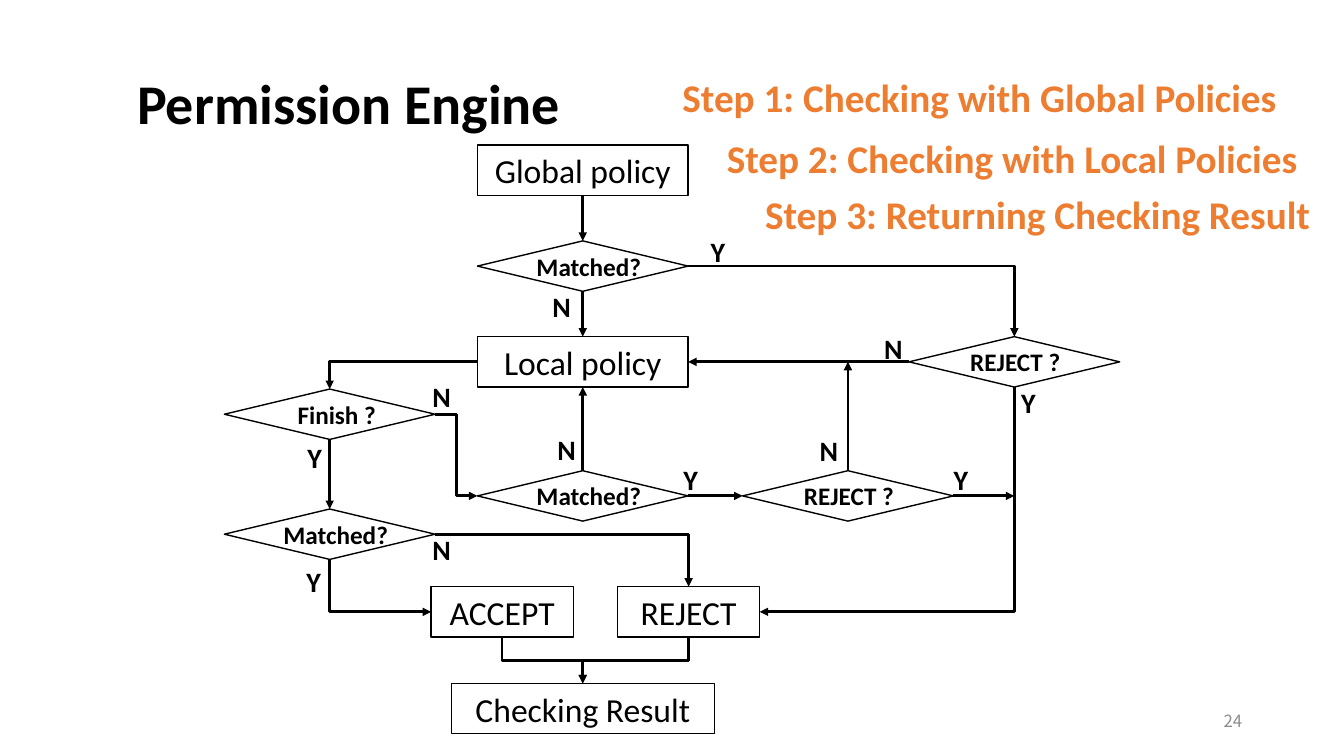
from lxml import etree
from pptx import Presentation
from pptx.dml.color import RGBColor
from pptx.enum.shapes import MSO_CONNECTOR, MSO_SHAPE
from pptx.enum.text import MSO_ANCHOR, MSO_AUTO_SIZE, PP_ALIGN
from pptx.oxml.ns import qn
from pptx.util import Inches, Pt

BOX, GEM = MSO_SHAPE.FLOWCHART_PROCESS, MSO_SHAPE.FLOWCHART_DECISION
STRAIGHT, ELBOW = MSO_CONNECTOR.STRAIGHT, MSO_CONNECTOR.ELBOW
LEFT, MID, RIGHT = PP_ALIGN.LEFT, PP_ALIGN.CENTER, PP_ALIGN.RIGHT
TOP, CENTER = MSO_ANCHOR.TOP, MSO_ANCHOR.MIDDLE

THEME = {
    "font": "Calibri", "number font": "Noto Sans CJK SC",
    "ink": RGBColor(0, 0, 0), "accent": RGBColor(0xED, 0x7D, 0x31),
    "grey": RGBColor(0x8C, 0x8C, 0x8C),
    "title": 40, "step": 28, "box": 24, "label": 20, "gem": 18, "number": 12,
    "outline": 1, "arrow": 2,
}


def write(shape, text, size="label", bold=True, color="ink", font="font",
          align=LEFT, anchor=TOP, wrap=False, shift=0):
    """Put formatted text in a shape, moved right by shift inches."""
    frame = shape.text_frame
    frame.auto_size = MSO_AUTO_SIZE.NONE
    frame.word_wrap = wrap
    frame.vertical_anchor = anchor
    frame.margin_left = Inches(0.1 + shift)
    frame.margin_right = Inches(0.1 - shift)
    frame.margin_top = frame.margin_bottom = Inches(0.05)
    frame.text = text
    line = frame.paragraphs[0]
    line.alignment = align
    face = line.runs[0].font
    face.name, face.size, face.bold = THEME[font], Pt(THEME[size]), bold
    face.color.rgb = THEME[color]


deck = Presentation()
deck.slide_width, deck.slide_height = Inches(13.33), Inches(7.5)
slide = deck.slides.add_slide(deck.slide_layouts[5])
shapes = slide.shapes

title = shapes.title
title.left, title.top = Inches(1.26), Inches(0.63)
title.width, title.height = Inches(4.45), Inches(0.77)
write(title, "Permission Engine", size="title")

# Nodes: kind, centre x, centre y, width, text, text shift
COL_A, COL_B, COL_C, COL_D = 3.27, 5.78, 8.41, 10.06
WIDE, SHORT, HIGH = 2.09, 1.41, 0.5
nodes = {
    "global": (BOX, COL_B, 1.69, WIDE, "Global policy", 0),
    "global match": (GEM, COL_B, 2.64, WIDE, "Matched?", 0.06),
    "local": (BOX, COL_B, 3.59, WIDE, "Local policy", 0),
    "global reject": (GEM, COL_D, 3.59, WIDE, "REJECT ?", 0.01),
    "finish": (GEM, COL_A, 4.11, WIDE, "Finish ?", 0.07),
    "local match": (GEM, COL_B, 4.92, WIDE, "Matched?", 0.06),
    "local reject": (GEM, COL_C, 4.92, WIDE, "REJECT ?", 0.01),
    "last match": (GEM, COL_A, 5.3, WIDE, "Matched?", 0.06),
    "accept": (BOX, 4.98, 6.07, SHORT, "ACCEPT", 0),
    "reject": (BOX, 6.83, 6.07, SHORT, "REJECT", 0),
    "result": (BOX, COL_B, 7.03, 2.61, "Checking Result", 0),
}
ports = {"no join": (COL_C, 3.59), "yes join": (COL_D, 4.92)}
for name, (kind, x, y, wide, text, shift) in nodes.items():
    node = shapes.add_shape(kind, Inches(x - wide / 2), Inches(y - HIGH / 2),
                            Inches(wide), Inches(HIGH))
    node.shadow.inherit = False
    node.fill.background()
    node.line.color.rgb = THEME["ink"]
    node.line.width = Pt(THEME["outline"])
    gem = kind == GEM
    write(node, text, size="gem" if gem else "box", bold=gem,
          align=MID, anchor=CENTER, shift=shift)
    ports[name, "left"] = (x - wide / 2, y)
    ports[name, "right"] = (x + wide / 2, y)
    ports[name, "top"] = (x, y - HIGH / 2)
    ports[name, "bottom"] = (x, y + HIGH / 2)

# Arrows: start port, end port, number of bends
flows = [
    (("global", "bottom"), ("global match", "top"), 0),
    (("global match", "bottom"), ("local", "top"), 0),
    (("global match", "right"), ("global reject", "top"), 1),
    (("global reject", "left"), ("local", "right"), 0),
    (("global reject", "bottom"), ("reject", "right"), 1),
    (("local", "left"), ("finish", "top"), 1),
    (("finish", "right"), ("local match", "left"), 2),
    (("finish", "bottom"), ("last match", "top"), 0),
    (("local match", "top"), ("local", "bottom"), 0),
    (("local match", "right"), ("local reject", "left"), 0),
    (("local reject", "top"), "no join", 0),
    (("local reject", "right"), "yes join", 0),
    (("last match", "right"), ("reject", "top"), 1),
    (("last match", "bottom"), ("accept", "left"), 1),
    (("accept", "bottom"), ("result", "top"), 2),
    (("reject", "bottom"), ("result", "top"), 2),
]
for start, end, bends in flows:
    (x1, y1), (x2, y2) = ports[start], ports[end]
    turn = 0
    if bends and start[1] == "bottom":
        # An elbow that leaves downward is a sideways elbow, turned
        turn = 270 if x2 > x1 else 90
        x, y = (x1 + x2) / 2, (y1 + y2) / 2
        across, down = abs(y2 - y1) / 2, abs(x2 - x1) / 2
        if turn == 270:
            across = -across
        x1, y1, x2, y2 = x - across, y - down, x + across, y + down
    arrow = shapes.add_connector(ELBOW if bends else STRAIGHT, Inches(x1),
                                 Inches(y1), Inches(x2), Inches(y2))
    arrow.line.color.rgb = THEME["ink"]
    arrow.line.width = Pt(THEME["arrow"])
    props = arrow._element.spPr
    if bends == 1:
        props.find(qn("a:prstGeom")).set("prst", "bentConnector2")
    if turn:
        props.find(qn("a:xfrm")).set("rot", str(turn * 60000))
    etree.SubElement(props.find(qn("a:ln")), qn("a:tailEnd"), type="triangle")
    etree.SubElement(props, qn("a:effectLst"))

labels = [
    ("N", 5.38, 2.82), ("Y", 6.95, 2.28), ("N", 8.67, 3.24), ("Y", 10.03, 3.78),
    ("N", 5.43, 4.24), ("Y", 6.68, 4.54), ("Y", 9.36, 4.54), ("N", 8.03, 4.25),
    ("N", 4.19, 3.72), ("Y", 2.95, 4.32), ("Y", 2.94, 5.55), ("N", 4.19, 5.23),
]
for text, x, y in labels:
    label = shapes.add_textbox(Inches(x), Inches(y), Inches(0.39 if text == "N" else 0.35),
                               Inches(0.44))
    write(label, text)

steps = [
    ("Step 1: Checking with Global Policies", 6.67, 0.68, 6.45),
    ("Step 2: Checking with Local Policies", 7.11, 1.28, 5.99),
    ("Step 3: Returning Checking Result", 7.49, 1.84, 5.75),
]
for text, x, y, wide in steps:
    step = shapes.add_textbox(Inches(x), Inches(y), Inches(wide), Inches(0.57))
    write(step, text, size="step", color="accent", wrap=True)

number = shapes.add_textbox(Inches(9.42), Inches(6.95), Inches(3), Inches(0.4))
write(number, "24", size="number", bold=False, color="grey", font="number font",
      align=RIGHT, anchor=CENTER, wrap=True)

deck.save("out.pptx")
